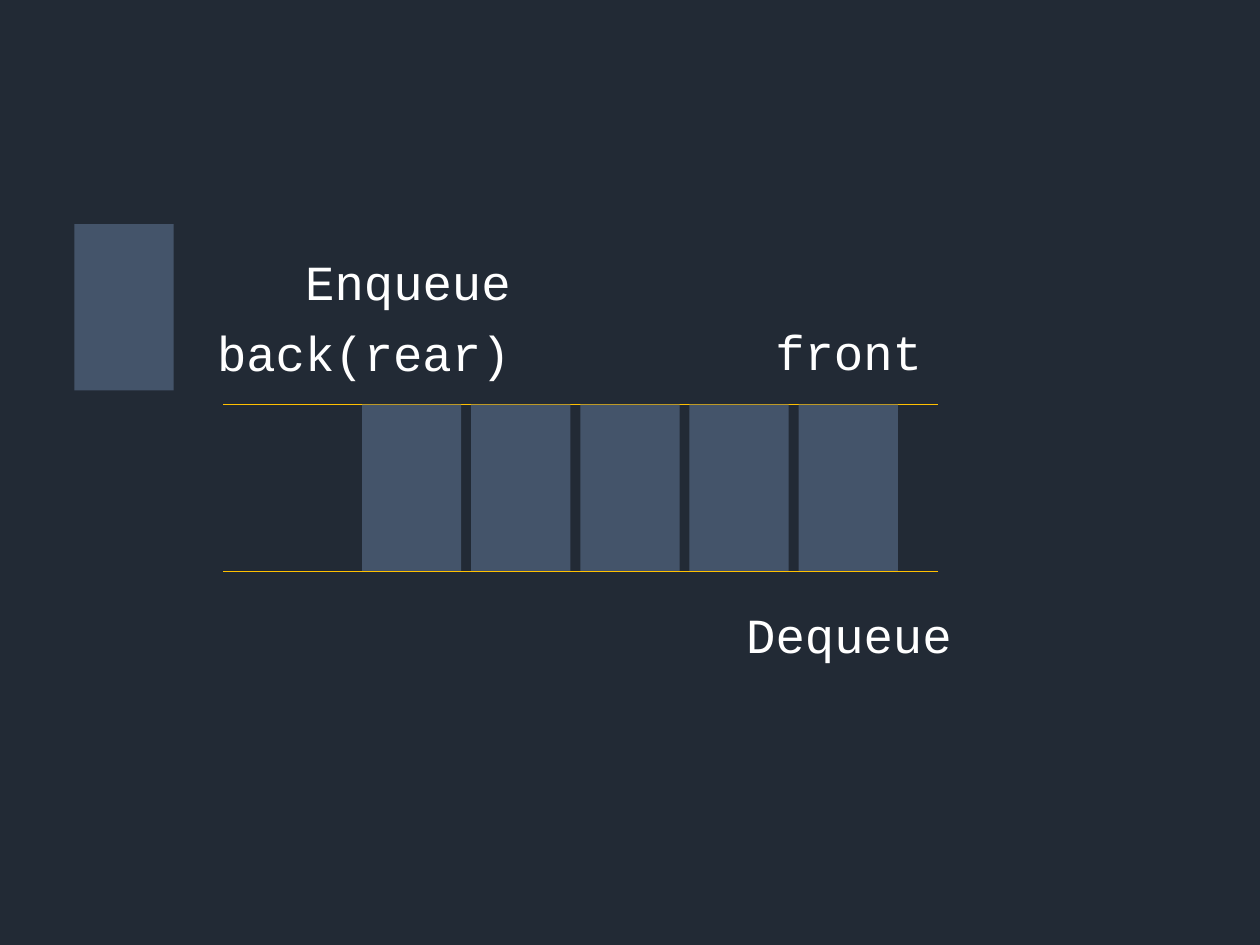
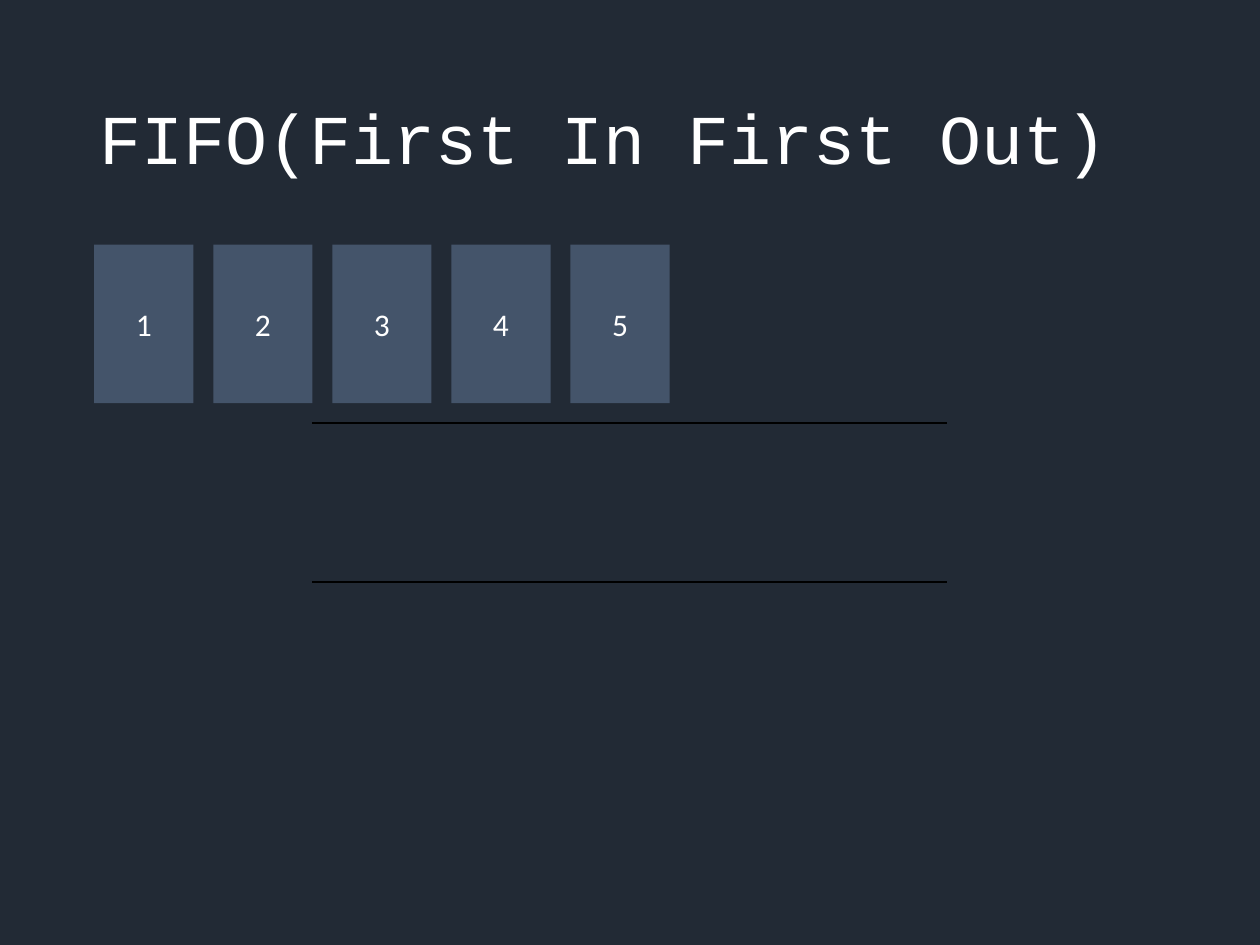
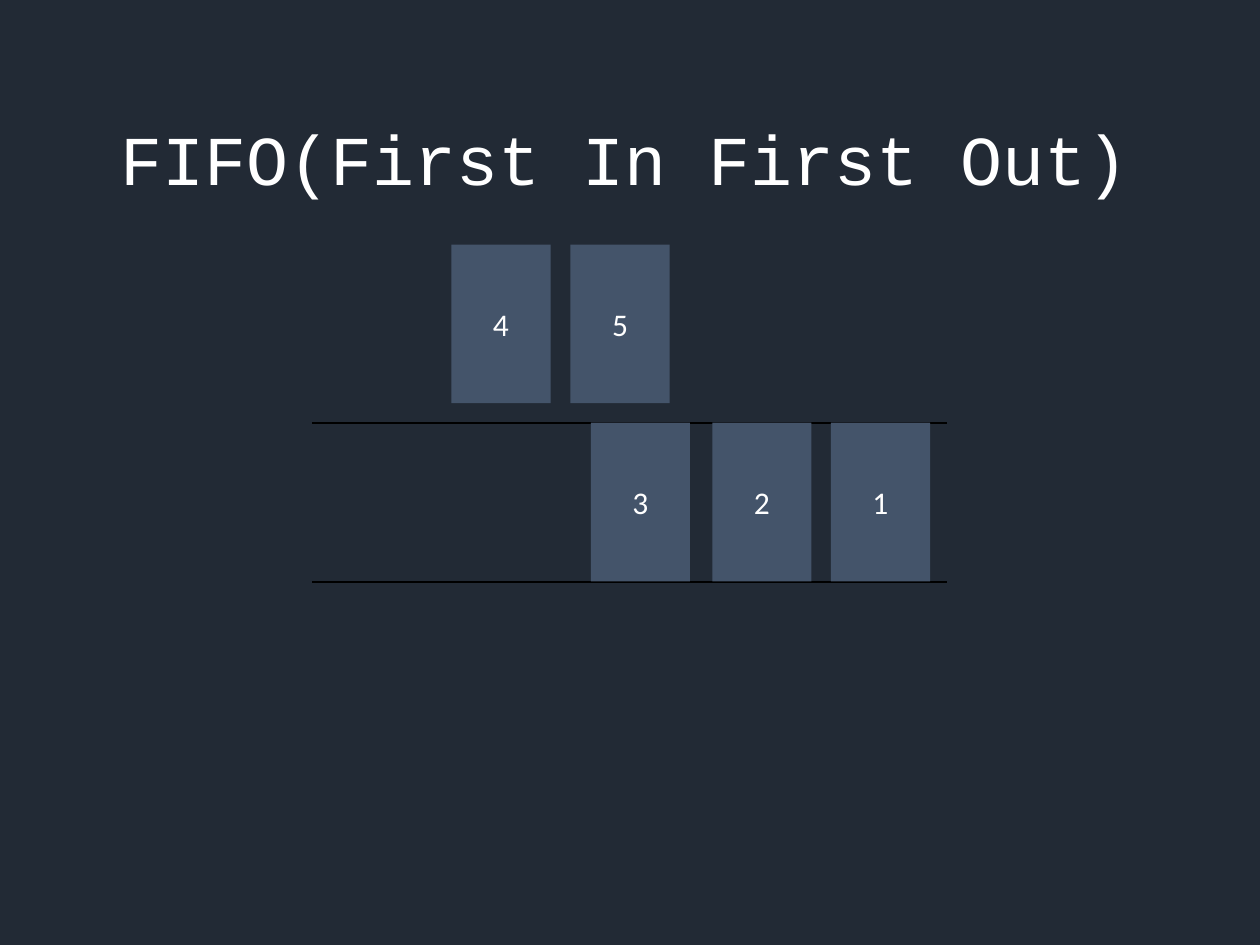
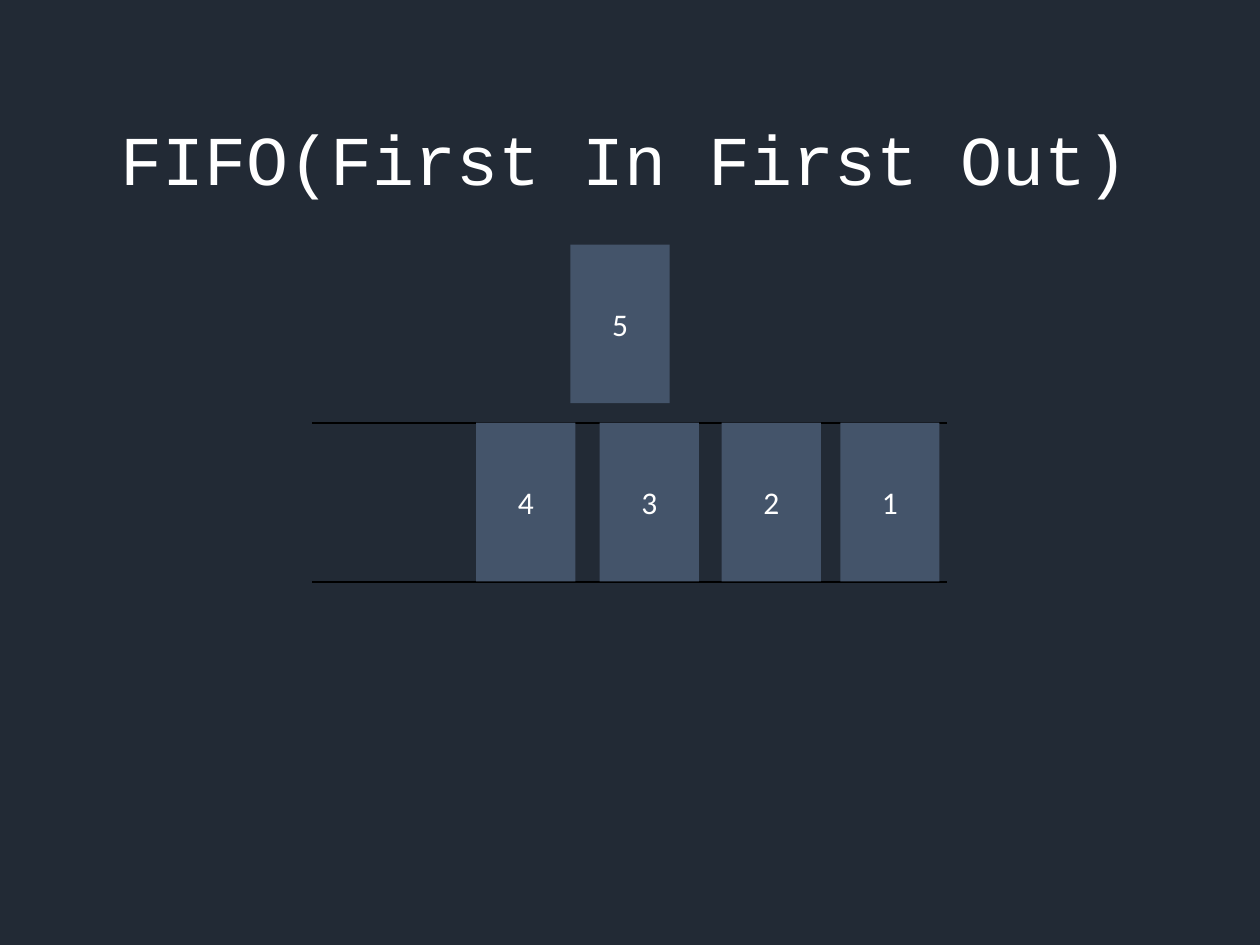
from lxml.etree import SubElement
from pptx import Presentation
from pptx.dml.color import RGBColor
from pptx.enum.shapes import MSO_CONNECTOR, MSO_SHAPE
from pptx.enum.text import MSO_ANCHOR, MSO_AUTO_SIZE, PP_ALIGN
from pptx.oxml.ns import qn
from pptx.util import Cm, Pt

NIGHT = RGBColor(0x22, 0x2A, 0x35)
SLATE = RGBColor(0x44, 0x54, 0x6A)
GOLD = RGBColor(0xFF, 0xC0, 0x00)
BLACK = RGBColor(0, 0, 0)
WHITE = RGBColor(0xFF, 0xFF, 0xFF)
MONO, SANS = "Courier New", "Calibri"

WIDE, HIGH = 25.4, 19.05
BOX_W = 2
CHAR = 28 * 0.6 * 2.54 / 72

TITLE = "FIFO(First In First Out)"
LABELS = [
    ("Enqueue", 7, 0),
    ("back(rear)", 4, 10),
    ("Dequeue", 22, 131),
]
FRONT = [("front", 0, 0)]
STEPS = [
    {"title": (1.75, 1.02), "wait": [1, 2, 3, 4, 5], "queue": []},
    {"title": (2.17, 1.45), "wait": [4, 5], "queue": [16.75, 14.36, 11.91]},
    {"title": (2.17, 1.45), "wait": [5], "queue": [16.94, 14.55, 12.09, 9.6]},
]


def add_box(slide, left, top, width, height, fill, text=""):
    box = slide.shapes.add_shape(
        MSO_SHAPE.RECTANGLE, Cm(left), Cm(top), Cm(width), Cm(height))
    box.shadow.inherit = False
    box.fill.solid()
    box.fill.fore_color.rgb = fill
    box.line.fill.background()
    if text:
        frame = box.text_frame
        frame.text = text
        frame.vertical_anchor = MSO_ANCHOR.MIDDLE
        para = frame.paragraphs[0]
        para.alignment = PP_ALIGN.CENTER
        set_font(para, SANS, 18)
    return box


def set_font(para, name, size):
    para.font.name = name
    para.font.size = Pt(size)
    para.font.color.rgb = WHITE


def add_rails(slide, left, right, tops, color, weight):
    for top in tops:
        rail = slide.shapes.add_connector(
            MSO_CONNECTOR.STRAIGHT, Cm(left), Cm(top), Cm(right), Cm(top))
        rail.line.color.rgb = color
        rail.line.width = Pt(weight)
        SubElement(rail.element.spPr, qn("a:effectLst"))


def add_slide(deck, layout):
    slide = deck.slides.add_slide(deck.slide_layouts[layout])
    back = add_box(slide, 0, 0, WIDE, HIGH, NIGHT).element
    back.getparent().insert(2, back)
    return slide


def place(holder, left, top, width, height):
    holder.left, holder.top = Cm(left), Cm(top)
    holder.width, holder.height = Cm(width), Cm(height)
    frame = holder.text_frame
    frame.word_wrap = True
    frame.auto_size = MSO_AUTO_SIZE.NONE
    return frame


def add_labels(frame, labels):
    frame.vertical_anchor = MSO_ANCHOR.TOP
    for index, (text, shift, gap) in enumerate(labels):
        para = frame.add_paragraph() if index else frame.paragraphs[0]
        para.text = text
        para.line_spacing = 0.9
        para.space_before = Pt(gap)
        props = para._p.get_or_add_pPr()
        props.set("marL", str(Cm(shift * CHAR)))
        props.set("indent", "0")
        SubElement(props, qn("a:buNone"))
        set_font(para, MONO, 28)


def add_terms(deck):
    slide = add_slide(deck, 1)
    title = slide.shapes.title.element
    title.getparent().remove(title)
    add_labels(place(slide.placeholders[1], 1.75, 5.08, 21.9, 12.1), LABELS)
    note = slide.shapes.add_textbox(0, 0, 0, 0)
    add_labels(place(note, 15.38, 6.49, 4, 1.4), FRONT)
    add_rails(slide, 4.5, 18.9, (8.16, 11.52), GOLD, 0.5)
    spots = [(1.5, 4.52)] + [(7.3 + 2.2 * n, 8.16) for n in range(5)]
    for left, top in spots:
        add_box(slide, left, top, BOX_W, 3.35, SLATE)


def add_step(deck, step):
    slide = add_slide(deck, 5)
    frame = place(slide.shapes.title, *step["title"], 21.9, 3.68)
    frame.text = TITLE
    frame.vertical_anchor = MSO_ANCHOR.MIDDLE
    para = frame.paragraphs[0]
    para.alignment = PP_ALIGN.LEFT
    para.line_spacing = 0.9
    set_font(para, MONO, 40)
    add_rails(slide, 6.29, 19.1, (11.73, 8.53), BLACK, 1.25)
    for n, left in enumerate(step["queue"], 1):
        add_box(slide, left, 8.52, BOX_W, 3.2, SLATE, str(n))
    for n in step["wait"]:
        add_box(slide, 1.9 + 2.4 * (n - 1), 4.93, BOX_W, 3.2, SLATE, str(n))


def main():
    deck = Presentation()
    deck.slide_width, deck.slide_height = Cm(WIDE), Cm(HIGH)
    add_terms(deck)
    for step in STEPS:
        add_step(deck, step)
    deck.save("out.pptx")


if __name__ == "__main__":
    main()
